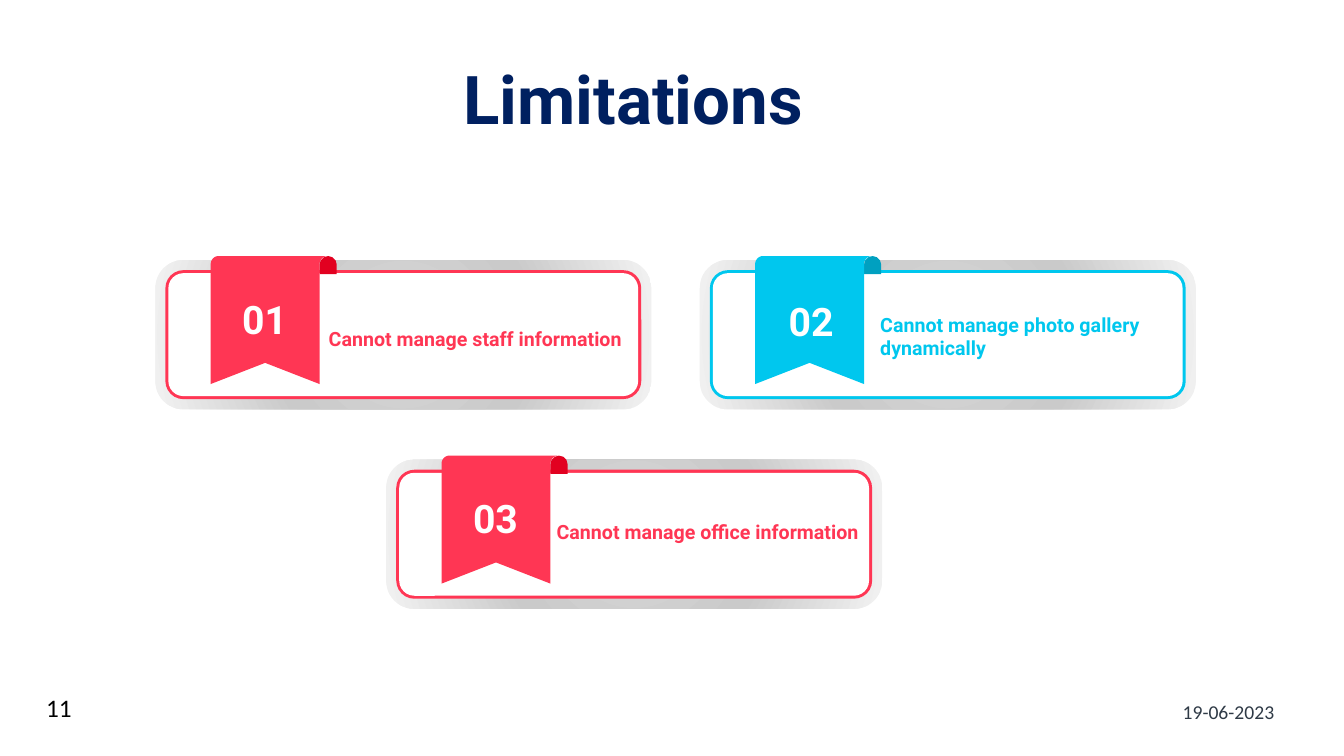
from dataclasses import dataclass
from math import cos, pi, sin

from pptx import Presentation
from pptx.dml.color import RGBColor
from pptx.enum.shapes import MSO_SHAPE
from pptx.enum.text import MSO_ANCHOR, PP_ALIGN
from pptx.oxml import parse_xml
from pptx.oxml.ns import nsdecls, qn
from pptx.util import Inches, Pt

ROUNDED = MSO_SHAPE.ROUNDED_RECTANGLE
ROUND_TOP = MSO_SHAPE.ROUND_2_SAME_RECTANGLE
TOP, MIDDLE = MSO_ANCHOR.TOP, MSO_ANCHOR.MIDDLE
LEFT, CENTER = PP_ALIGN.LEFT, PP_ALIGN.CENTER


@dataclass(frozen=True)
class Theme:
    heading_font: str = "Roboto"
    footer_font: str = "Calibri"
    navy: str = "002060"
    red: str = "FF3654"
    dark_red: str = "E20020"
    cyan: str = "00C7EE"
    dark_cyan: str = "00A0C0"
    white: str = "FFFFFF"
    black: str = "000000"
    slate: str = "2F3A46"
    rim: tuple = ((0, "D8D8D8"), (50, "CACACA"), (100, "F2F2F2"))
    title_size: int = 48
    number_size: int = 28
    page_size: int = 18
    body_size: int = 14


THEME = Theme()
CARD_WIDTH, CARD_HEIGHT, CARD_RADIUS = 4.92, 1.48, 0.28
BORDER_INSET, FACE_INSET = 0.1, 0.13
RIBBON_X, RIBBON_Y = 0.55, -0.04
RIBBON_WIDTH, RIBBON_HEIGHT, NOTCH_HEIGHT = 1.08, 1.27, 1.06
CORNER = 0.08

CARDS = (
    ("01", "Cannot manage staff information", (1.54, 2.58),
     (0.77, 0.35), (1.72, 0.54), THEME.red, THEME.dark_red),
    ("02", "Cannot manage photo gallery dynamically", (6.94, 2.58),
     (0.79, 0.37), (1.79, 0.52), THEME.cyan, THEME.dark_cyan),
    ("03", "Cannot manage office information", (3.83, 4.56),
     (0.77, 0.34), (1.69, 0.48), THEME.red, THEME.dark_red),
)


def paint(shape, color):
    """Give a shape a plain fill without outline or shadow."""
    shape.shadow.inherit = False
    shape.fill.solid()
    shape.fill.fore_color.rgb = RGBColor.from_string(color)
    shape.line.fill.background()


def paint_rim(shape):
    """Replace the plain fill with the circular grey gradient."""
    stops = "".join(
        f'<a:gs pos="{position * 1000}"><a:srgbClr val="{color}"/></a:gs>'
        for position, color in THEME.rim)
    gradient = parse_xml(
        f'<a:gradFill {nsdecls("a")}><a:gsLst>{stops}</a:gsLst><a:path path="circle">'
        '<a:fillToRect l="50000" t="50000" r="50000" b="50000"/></a:path></a:gradFill>')
    properties = shape._element.spPr
    properties.replace(properties.find(qn("a:solidFill")), gradient)


def write(shape, text, size, color, font, bold=False, align=LEFT, anchor=MIDDLE):
    """Set and format the single paragraph of a shape."""
    frame = shape.text_frame
    frame.text = text
    frame.word_wrap = True
    frame.vertical_anchor = anchor
    paragraph = frame.paragraphs[0]
    paragraph.alignment = align
    run_font = paragraph.runs[0].font
    run_font.name, run_font.size, run_font.bold = font, Pt(size), bold
    run_font.color.rgb = RGBColor.from_string(color)


def clear_margins(shape):
    """Remove the inner margins of a text shape."""
    frame = shape.text_frame
    frame.margin_left = frame.margin_top = frame.margin_right = frame.margin_bottom = 0


def add_label(slide, box, text, size, color, align=LEFT):
    """Add a bold heading-font text box without margins."""
    label = slide.shapes.add_textbox(*map(Inches, box))
    clear_margins(label)
    write(label, text, size, color, THEME.heading_font, True, align)


def add_panel(slide, left, top, inset, color):
    """Add one rounded layer of a card, inset from its outer edge."""
    width, height = CARD_WIDTH - 2 * inset, CARD_HEIGHT - 2 * inset
    panel = slide.shapes.add_shape(
        ROUNDED, Inches(left + inset), Inches(top + inset), Inches(width), Inches(height))
    panel.adjustments[0] = (CARD_RADIUS - inset) / height
    paint(panel, color)
    return panel


def corner_points(center_x, steps=8):
    """Return points along a quarter circle from its left to its top."""
    angles = [pi / 2 * step / steps for step in range(steps + 1)]
    return [(center_x - CORNER * cos(angle), CORNER - CORNER * sin(angle))
            for angle in angles]


def add_ribbon(slide, left, top, color, fold_color):
    """Add a notched ribbon and the dark fold behind it."""
    fold = slide.shapes.add_shape(
        ROUND_TOP, Inches(left + RIBBON_WIDTH), Inches(top), Inches(0.17), Inches(0.18))
    fold.adjustments[0] = 0.5
    paint(fold, fold_color)
    outline = [
        (0, RIBBON_HEIGHT),
        *corner_points(CORNER),
        *reversed(corner_points(RIBBON_WIDTH + CORNER)),
        (RIBBON_WIDTH, RIBBON_HEIGHT),
        (RIBBON_WIDTH / 2, NOTCH_HEIGHT),
    ]
    points = [(Inches(left + x), Inches(top + y)) for x, y in outline]
    builder = slide.shapes.build_freeform(*points[0])
    builder.add_line_segments(points[1:], close=True)
    paint(builder.convert_to_shape(), color)


def add_card(slide, number, text, origin, number_offset, text_offset, color, fold_color):
    """Add a bordered card with its ribbon, number and statement."""
    left, top = origin
    paint_rim(add_panel(slide, left, top, 0, THEME.white))
    add_panel(slide, left, top, BORDER_INSET, color)
    add_panel(slide, left, top, FACE_INSET, THEME.white)
    add_ribbon(slide, left + RIBBON_X, top + RIBBON_Y, color, fold_color)
    add_label(slide, (left + text_offset[0], top + text_offset[1], 3.05, 0.47),
              text, THEME.body_size, color)
    add_label(slide, (left + number_offset[0], top + number_offset[1], 0.63, 0.47),
              number, THEME.number_size, THEME.white, CENTER)


def add_title(slide, text):
    """Place and format the title placeholder."""
    title = slide.shapes.title
    title.left, title.top = Inches(0.18), Inches(0.66)
    title.width, title.height = Inches(12.2), Inches(0.72)
    clear_margins(title)
    write(title, text, THEME.title_size, THEME.navy, THEME.heading_font, True, CENTER)
    title.text_frame.paragraphs[0].line_spacing = 0.9


def add_footer(slide, page, date):
    """Add the page number and the date."""
    page_box = slide.shapes.add_textbox(Inches(0.36), Inches(6.82), Inches(0.48), Inches(0.43))
    write(page_box, page, THEME.page_size, THEME.black, THEME.footer_font, anchor=TOP)
    date_box = slide.shapes.add_textbox(Inches(11.4), Inches(6.85), Inches(1.57), Inches(0.43))
    write(date_box, date, THEME.body_size, THEME.slate, THEME.footer_font, align=CENTER)


def main():
    """Build and save the limitations slide."""
    presentation = Presentation()
    presentation.slide_width, presentation.slide_height = Inches(13.33), Inches(7.5)
    slide = presentation.slides.add_slide(presentation.slide_layouts[5])
    add_title(slide, "Limitations")
    for card in CARDS:
        add_card(slide, *card)
    add_footer(slide, "11", "19-06-2023")
    presentation.save("out.pptx")


if __name__ == "__main__":
    main()
